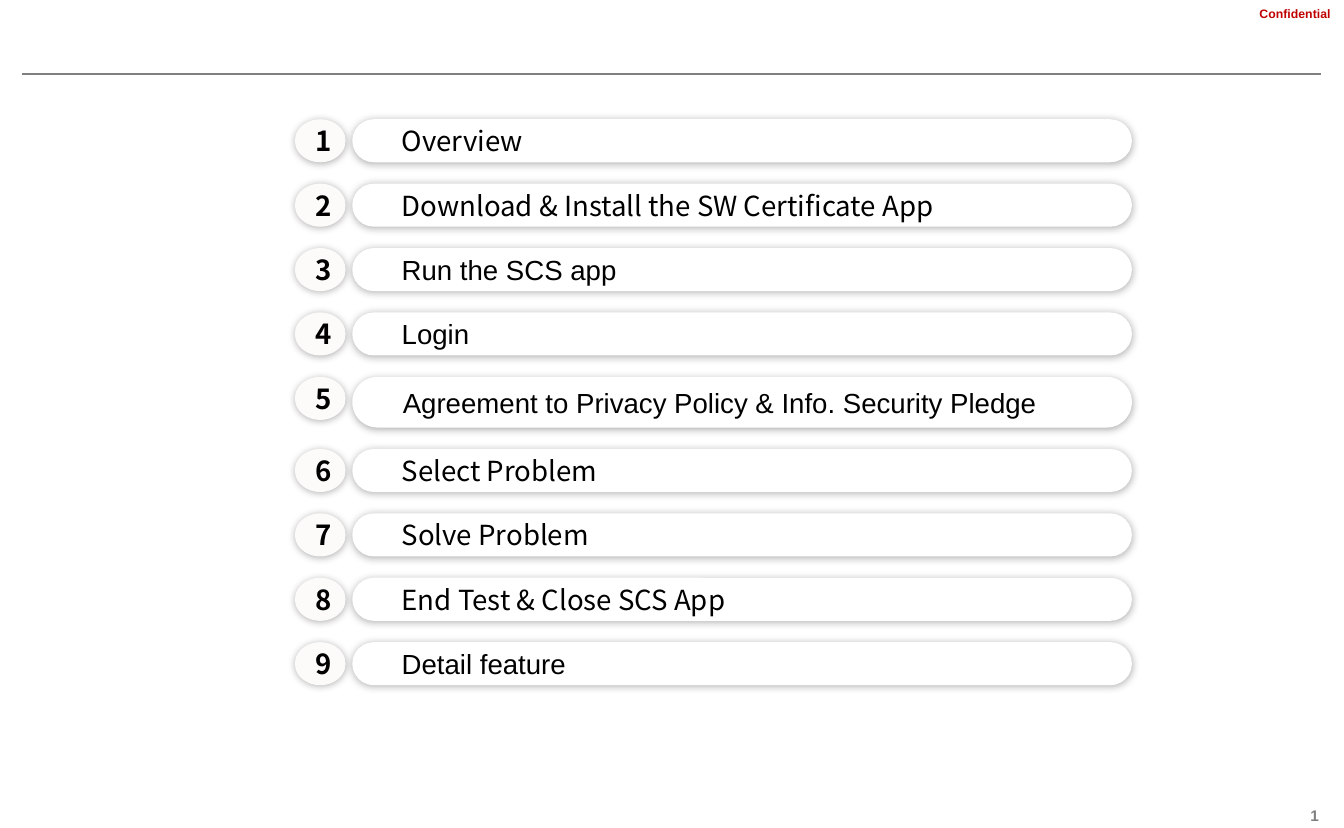
from dataclasses import dataclass

from lxml.etree import SubElement
from pptx import Presentation
from pptx.dml.color import RGBColor
from pptx.enum.shapes import MSO_CONNECTOR, MSO_SHAPE
from pptx.enum.text import MSO_ANCHOR, PP_ALIGN
from pptx.oxml.ns import qn
from pptx.util import Inches, Pt


@dataclass(frozen=True)
class Theme:
    text: str = "000000"
    gray: str = "808080"
    alert: str = "C00000"
    badge: str = "FCFBF9"
    bar: str = "FFFFFF"
    shadow: str = "000000"
    latin: str = "Arial"
    korean: str = "Noto Sans CJK KR"
    item_size: int = 18
    number_size: int = 10
    label_size: int = 8


theme = Theme()


def write_text(shape, text, font_name, size, color, bold, alignment, insets):
    frame = shape.text_frame
    frame.word_wrap = True
    frame.vertical_anchor = MSO_ANCHOR.MIDDLE
    frame.margin_left, frame.margin_right = Inches(insets[0]), Inches(insets[1])
    frame.margin_top = frame.margin_bottom = Inches(0.05)
    frame.text = text
    paragraph = frame.paragraphs[0]
    paragraph.alignment = alignment
    font = paragraph.runs[0].font
    font.name, font.size, font.bold = font_name, Pt(size), bold
    font.color.rgb = RGBColor.from_string(color)
    return paragraph


def add_soft_shape(slide, kind, left, top, width, height, fill):
    shape = slide.shapes.add_shape(
        kind, Inches(left), Inches(top), Inches(width), Inches(height))
    shape.fill.solid()
    shape.fill.fore_color.rgb = RGBColor.from_string(fill)
    shape.line.fill.background()
    # Soft even glow of shadow around the outline
    shape.shadow.inherit = False
    effects = shape._element.spPr.find(qn("a:effectLst"))
    shadow = SubElement(effects, qn("a:outerShdw"), blurRad=str(Inches(0.07)),
                        dist=str(Inches(0.01)), dir="5400000",
                        sx="100000", sy="100000", algn="ctr", rotWithShape="0")
    color = SubElement(shadow, qn("a:srgbClr"), val=theme.shadow)
    SubElement(color, qn("a:alpha"), val="30000")
    return shape


presentation = Presentation()
presentation.slide_width = Inches(12.17)
presentation.slide_height = Inches(7.5)
slide = presentation.slides.add_slide(presentation.slide_layouts[6])

# Header: confidentiality label and rule
label = slide.shapes.add_textbox(Inches(10.5), 0, Inches(1.66), Inches(0.24))
write_text(label, "Confidential", theme.latin, theme.label_size, theme.alert,
           True, PP_ALIGN.RIGHT, (0.11, 0.11))
rule = slide.shapes.add_connector(
    MSO_CONNECTOR.STRAIGHT, Inches(0.2), Inches(0.67), Inches(11.96), Inches(0.67))
rule.line.color.rgb = RGBColor.from_string(theme.gray)
rule.line.width = Pt(1)
SubElement(rule._element.spPr, qn("a:effectLst"))

# Footer: slide number field
page = slide.shapes.add_textbox(Inches(10.92), Inches(7.22), Inches(1.12), Inches(0.33))
paragraph = write_text(page, "1", theme.latin, theme.number_size, theme.gray,
                       True, PP_ALIGN.RIGHT, (0.1, 0.1))
run = paragraph.runs[0]._r
field = SubElement(paragraph._p, qn("a:fld"), type="slidenum",
                   id="{B6F15528-21DE-4FAA-801E-634DDDAF4B2B}")
field.extend(list(run))
paragraph._p.remove(run)

# Agenda: numbered badge and bar per topic (text, font, bar height)
row_height, row_pitch = 0.39, 7 / 12
topics = [
    ("Overview", theme.korean, row_height),
    ("Download & Install the SW Certificate App", theme.korean, row_height),
    ("Run the SCS app", theme.latin, row_height),
    ("Login", theme.latin, row_height),
    ("Agreement to Privacy Policy & Info. Security Pledge", theme.latin, 0.46),
    ("Select Problem", theme.korean, row_height),
    ("Solve Problem", theme.korean, row_height),
    ("End Test & Close SCS App", theme.korean, row_height),
    ("Detail feature", theme.latin, row_height),
]
top = 1.08
for number, (topic, font_name, bar_height) in enumerate(topics, start=1):
    badge = add_soft_shape(slide, MSO_SHAPE.OVAL, 2.67, top, 0.46, row_height, theme.badge)
    write_text(badge, str(number), theme.korean, theme.item_size, theme.text,
               True, PP_ALIGN.CENTER, (0.12, 0.12))
    bar = add_soft_shape(slide, MSO_SHAPE.ROUNDED_RECTANGLE, 3.19, top, 7.06,
                         bar_height, theme.bar)
    bar.adjustments[0] = 0.5
    write_text(bar, topic, font_name, theme.item_size, theme.text,
               False, PP_ALIGN.LEFT, (0.39, 0.2))
    # A taller bar pushes the following rows down
    top += row_pitch + bar_height - row_height

presentation.save("out.pptx")
